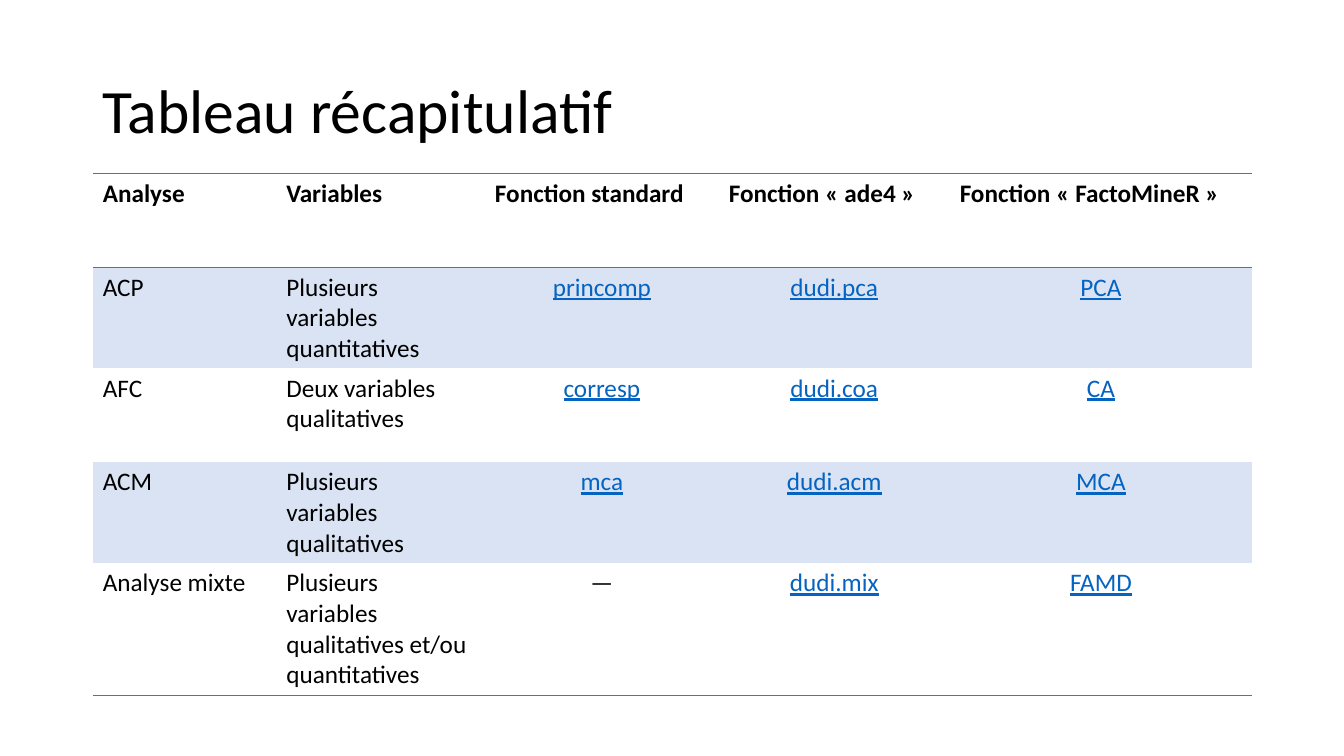
from lxml.etree import SubElement
from pptx import Presentation
from pptx.dml.color import RGBColor
from pptx.enum.text import MSO_ANCHOR, PP_ALIGN
from pptx.oxml import parse_xml
from pptx.oxml.ns import nsdecls
from pptx.util import Inches, Pt

BLACK, BLUE, BAND, LINK = "000000", "4472C4", "DAE3F3", "0563C1"
NO_STYLE_NO_GRID = "{2D5ABB26-0587-4C30-8999-92F81FD0307C}"


def format_run(run, size, color):
    run.font.name = "Calibri"
    run.font.size = Pt(size)
    run.font.color.rgb = RGBColor.from_string(color)


def add_border(cell, side):
    border = parse_xml(f'<a:{side} {nsdecls("a")} w="{Pt(1)}"><a:solidFill>'
                       f'<a:srgbClr val="{BLUE}"/></a:solidFill></a:{side}>')
    cell._tc.get_or_add_tcPr().insert(0, border)


presentation = Presentation()
presentation.slide_width = Inches(13.33)
presentation.slide_height = Inches(7.5)
slide = presentation.slides.add_slide(presentation.slide_layouts[6])

title = slide.shapes.add_textbox(Inches(0.92), Inches(0.4), Inches(11.5), Inches(1.45))
title.text_frame.word_wrap = True
title.text_frame.vertical_anchor = MSO_ANCHOR.MIDDLE
title.text_frame.text = "Tableau récapitulatif"
paragraph = title.text_frame.paragraphs[0]
paragraph.line_spacing = 0.9
format_run(paragraph.runs[0], 44, BLACK)

rows = [
    ["Analyse", "Variables", "Fonction standard", "Fonction « ade4 »", "Fonction « FactoMineR »"],
    ["ACP", "Plusieurs variables quantitatives", "princomp", "dudi.pca", "PCA"],
    ["AFC", "Deux variables qualitatives", "corresp", "dudi.coa", "CA"],
    ["ACM", "Plusieurs variables qualitatives", "mca", "dudi.acm", "MCA"],
    ["Analyse mixte", "Plusieurs variables qualitatives et/ou quantitatives", "—", "dudi.mix", "FAMD"],
]
column_widths = [1.82, 2.07, 2.32, 2.29, 3]
row_heights = [0.93] * 4 + [1.32]
last_row = len(rows) - 1

table = slide.shapes.add_table(len(rows), len(column_widths), Inches(0.92), Inches(1.72),
                               Inches(11.5), Inches(sum(row_heights))).table
table.first_row = False
table.horz_banding = False
table._tbl.tblPr[0].text = NO_STYLE_NO_GRID
for column, width in zip(table.columns, column_widths):
    column.width = Inches(width)
for row, height in zip(table.rows, row_heights):
    row.height = Inches(height)

for row_index, texts in enumerate(rows):
    for column_index, text in enumerate(texts):
        cell = table.cell(row_index, column_index)
        cell.text_frame.text = text
        paragraph = cell.text_frame.paragraphs[0]
        run = paragraph.runs[0]
        is_header = row_index == 0
        is_function = not is_header and column_index >= 2
        is_link = is_function and text != "—"
        format_run(run, 18, LINK if is_link else BLACK)
        run.font.bold = is_header
        run.font.underline = is_link
        if is_function:
            paragraph.alignment = PP_ALIGN.CENTER
            cell.margin_left = cell.margin_right = Inches(0.05)
            cell.margin_top = cell.margin_bottom = Inches(0.05)
        if row_index % 2:
            cell.fill.solid()
            cell.fill.fore_color.rgb = RGBColor.from_string(BAND)
        else:
            cell.fill.background()
        if row_index in (0, last_row):
            add_border(cell, "lnB")
        if is_header:
            add_border(cell, "lnT")

presentation.save("out.pptx")
